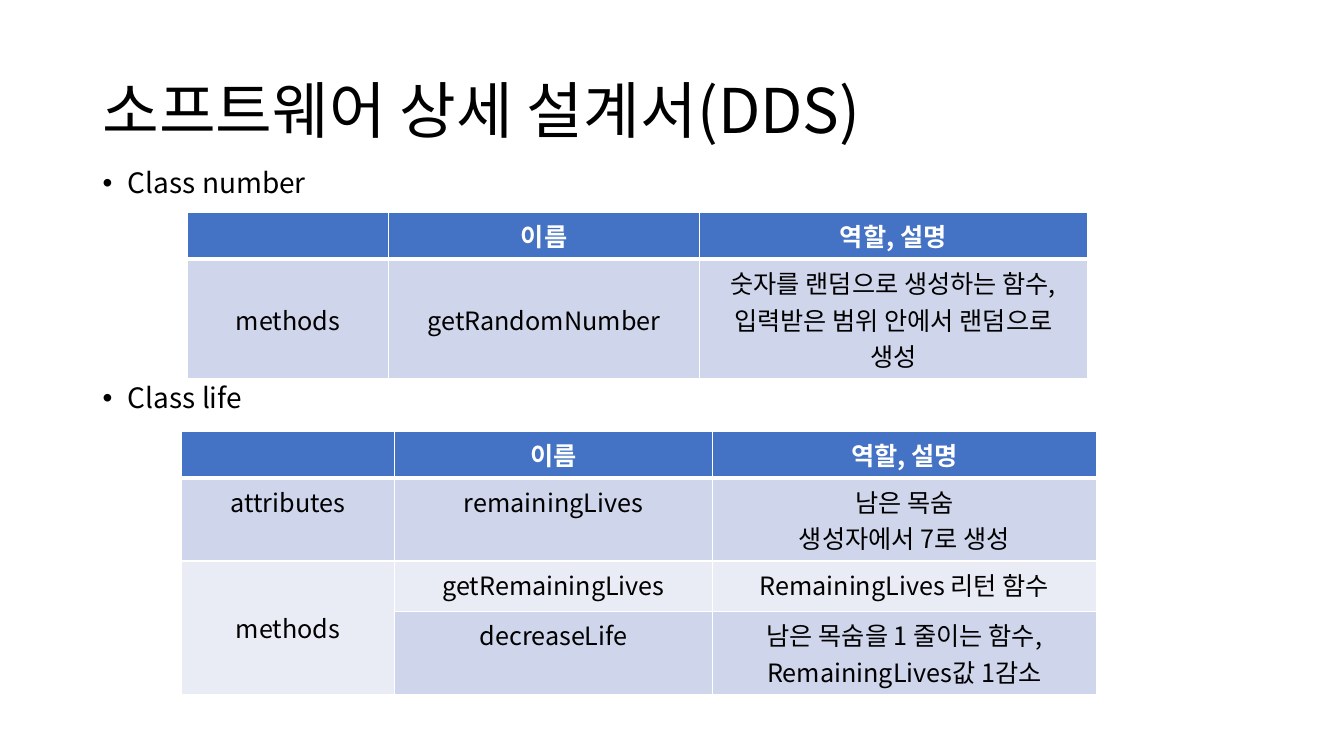
from lxml import etree
from pptx import Presentation
from pptx import util as u
from pptx.dml.color import RGBColor
from pptx.enum import text
from pptx.oxml import ns

BLACK, WHITE, BLUE = "000000", "FFFFFF", "4472C4"
DARK_BAND, LIGHT_BAND = "CFD5EA", "E9EBF5"


def colour(value):
    """Turn a hex string into a colour."""
    return RGBColor.from_string(value)


def add_element(parent, tag, **attributes):
    """Append a DrawingML element and return it."""
    return etree.SubElement(parent, ns.qn(tag), attributes)


class Deck:
    """Holds the style and the current slide."""

    font = "Noto Sans CJK KR"

    def __init__(self, presentation):
        """Add a slide with a title and a body placeholder."""
        self.slide = presentation.slides.add_slide(presentation.slide_layouts[1])

    def add_run(self, paragraph, words, size, hex_colour=BLACK, bold=False):
        """Add one run for both Latin and Korean letters."""
        run = paragraph.add_run()
        run.text = words
        run.font.size, run.font.bold, run.font.name = u.Pt(size), bold, self.font
        run.font.color.rgb = colour(hex_colour)
        add_element(run.font._element, "a:ea", typeface=self.font)

    def place(self, shape, left, top, width, height, anchor):
        """Move a placeholder and return its emptied text frame."""
        shape.left, shape.top = u.Cm(left), u.Cm(top)
        shape.width, shape.height = u.Cm(width), u.Cm(height)
        frame = shape.text_frame
        frame.word_wrap, frame.auto_size = True, text.MSO_AUTO_SIZE.NONE
        frame.vertical_anchor = anchor
        return frame

    def title(self, words, *box):
        """Fill the title placeholder."""
        frame = self.place(self.slide.shapes.title, *box, text.MSO_ANCHOR.MIDDLE)
        paragraph = frame.paragraphs[0]
        paragraph.alignment, paragraph.line_spacing = text.PP_ALIGN.LEFT, 0.9
        self.add_run(paragraph, words, 44)

    def bullets(self, items, *box):
        """Fill the body placeholder with (words, space before) items."""
        frame = self.place(self.slide.placeholders[1], *box, text.MSO_ANCHOR.TOP)
        for index, (words, space) in enumerate(items):
            paragraph = frame.add_paragraph() if index else frame.paragraphs[0]
            paragraph.alignment, paragraph.line_spacing = text.PP_ALIGN.LEFT, 0.9
            paragraph.space_before = u.Pt(space)
            properties = paragraph._p.get_or_add_pPr()
            properties.set("marL", str(u.Cm(0.64)))
            properties.set("indent", str(-u.Cm(0.64)))
            add_element(properties, "a:buFont", typeface="Arial")
            add_element(properties, "a:buChar", char="•")
            self.add_run(paragraph, words, 20)

    def borders(self, cell, top, bottom):
        """Draw white cell borders, with widths in points."""
        properties = cell._tc.get_or_add_tcPr()
        for side, width in (("L", 1), ("R", 1), ("T", top), ("B", bottom)):
            line = add_element(properties, f"a:ln{side}", w=str(u.Pt(width)))
            add_element(add_element(line, "a:solidFill"), "a:srgbClr", val=WHITE)

    def table(self, left, top, widths, heights, rows):
        """Add a table with a blue header and banded rows; return it."""
        frame = self.slide.shapes.add_table(
            len(rows), len(widths), u.Cm(left), u.Cm(top),
            u.Cm(sum(widths)), u.Cm(sum(heights)))
        table = frame.table
        for column, width in zip(table.columns, widths):
            column.width = u.Cm(width)
        for index, (row, height, values) in enumerate(zip(table.rows, heights, rows)):
            row.height = u.Cm(height)
            header = index == 0
            fill = BLUE if header else DARK_BAND if index % 2 else LIGHT_BAND
            for cell, value in zip(row.cells, values):
                self.borders(cell, 3 if index == 1 else 1, 3 if header else 1)
                cell.fill.solid()
                cell.fill.fore_color.rgb = colour(fill)
                for number, words in enumerate(value.split("\n") if value else []):
                    frame = cell.text_frame
                    paragraph = frame.add_paragraph() if number else frame.paragraphs[0]
                    paragraph.alignment = text.PP_ALIGN.CENTER
                    self.add_run(paragraph, words, 18, WHITE if header else BLACK, header)
        return table


presentation = Presentation()
presentation.slide_width, presentation.slide_height = u.Cm(33.87), u.Cm(19.05)
deck = Deck(presentation)
deck.title("소프트웨어 상세 설계서(DDS)", 2.33, 1.01, 29.21, 3.68)
deck.bullets([("Class number", 10), ("Class life", 132)], 2.33, 4.14, 29.21, 13)

HEADER = ("", "이름", "역할, 설명")
number_table = deck.table(4.72, 5.36, (5.08, 7.82, 9.78), (1.09, 1.78), [
    HEADER,
    ("methods", "getRandomNumber",
     "숫자를 랜덤으로 생성하는 함수,\n입력받은 범위 안에서 랜덤으로 생성"),
])
life_table = deck.table(4.57, 10.87, (5.38, 8, 9.68), (1.02, 1.78, 1.27, 1.73), [
    HEADER,
    ("attributes", "remainingLives", "남은 목숨\n생성자에서 7로 생성"),
    ("methods", "getRemainingLives", "RemainingLives 리턴 함수"),
    ("", "decreaseLife", "남은 목숨을 1 줄이는 함수,\nRemainingLives값 1감소"),
])
life_table.cell(2, 0).merge(life_table.cell(3, 0))
for cell in (number_table.cell(1, 0), number_table.cell(1, 1), life_table.cell(2, 0)):
    cell.vertical_anchor = text.MSO_ANCHOR.MIDDLE

presentation.save("out.pptx")
